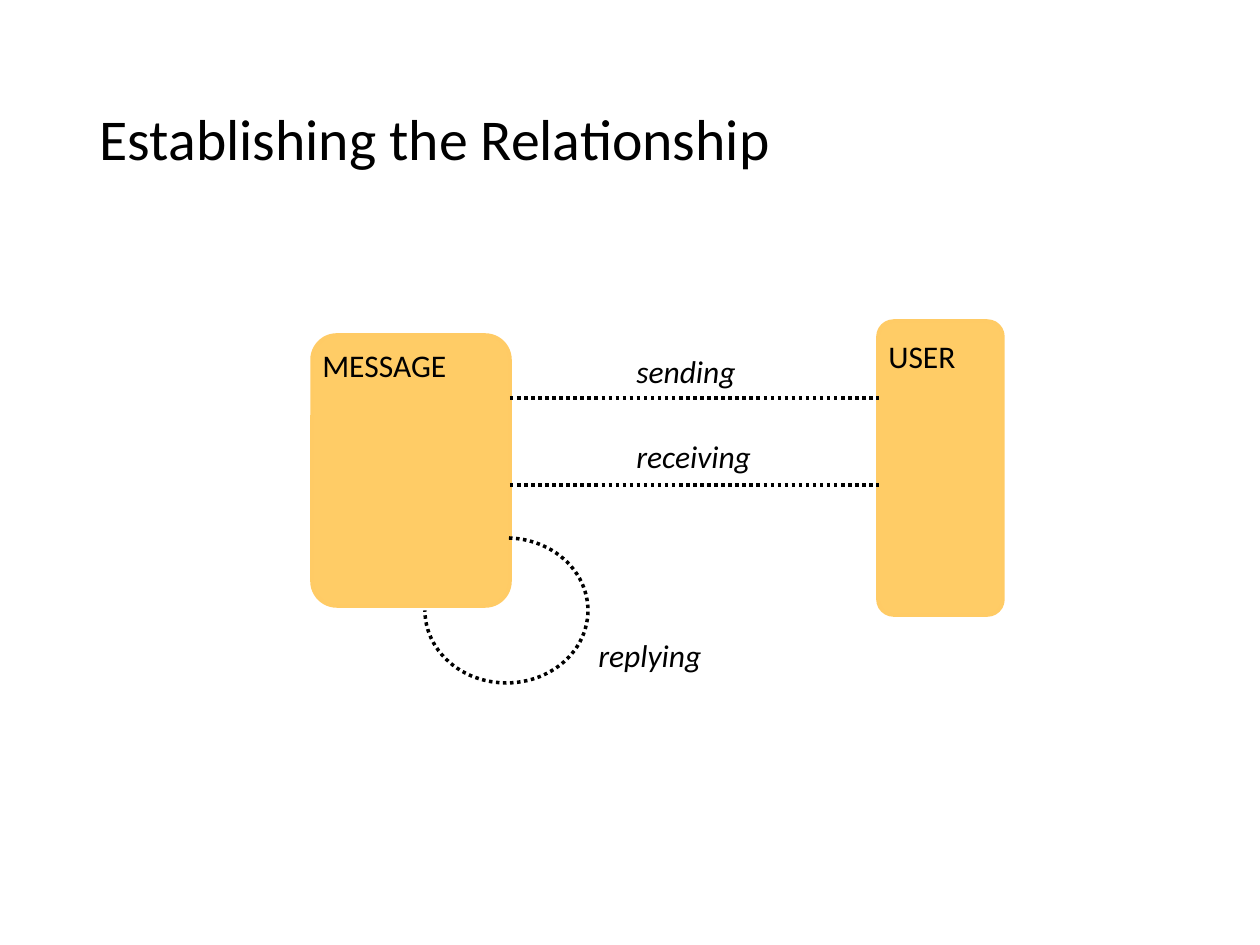
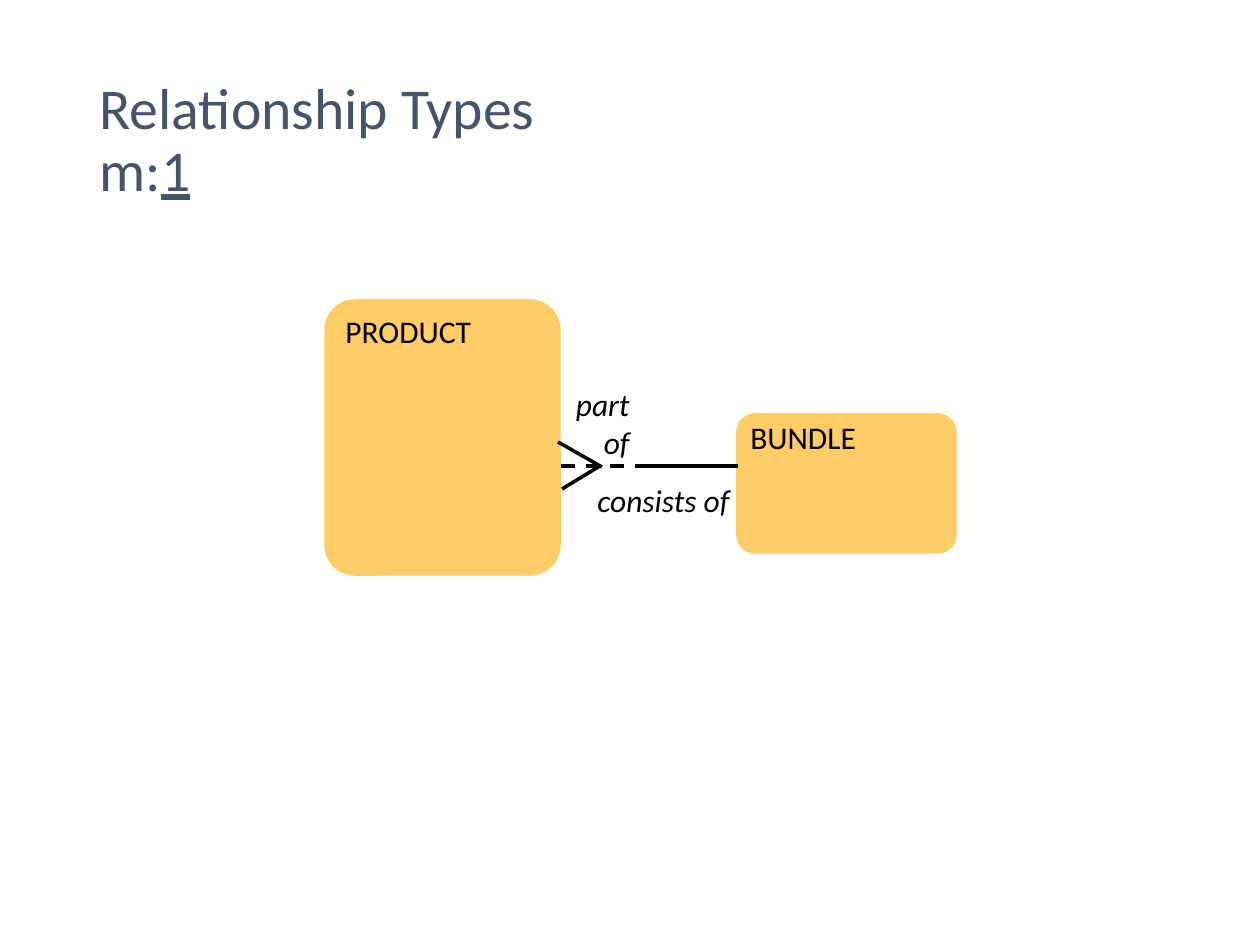
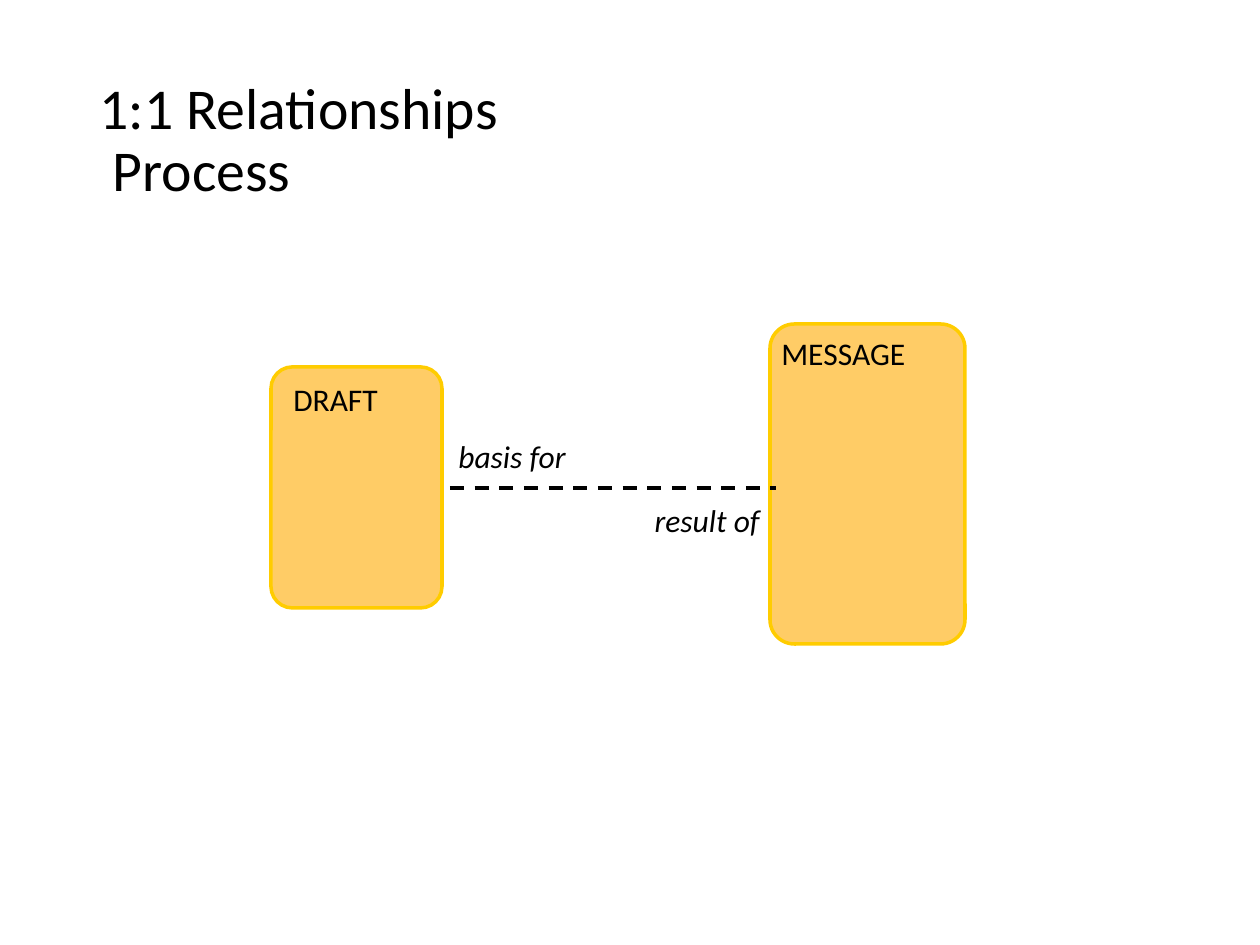
from dataclasses import dataclass

from lxml.etree import SubElement
from pptx import Presentation
from pptx.dml.color import RGBColor
from pptx.enum.dml import MSO_LINE
from pptx.enum.shapes import MSO_CONNECTOR, MSO_SHAPE
from pptx.enum.text import MSO_ANCHOR, MSO_AUTO_SIZE, PP_ALIGN
from pptx.oxml.ns import qn
from pptx.util import Emu, Inches, Pt

PIXELS_PER_INCH = 126
FONT = "Calibri"
BLACK = "000000"
SLATE = "44546A"
ENTITY_FILL = "FFCC66"
SOFT_EDGE = "FFCB65"
BRIGHT_EDGE = "FFCC00"
TITLE_SIZE = 33
LABEL_SIZE = 18
LINE_WIDTH = 2
LABEL_HEIGHT = 50
TITLE_AREA = (87, 50, 1086, 183)
DOTTED = MSO_LINE.ROUND_DOT
DASHED = MSO_LINE.DASH


@dataclass
class Label:
    """A piece of text in a box; relationship names are italic."""
    text: str
    left: int
    top: int
    width: int
    height: int = LABEL_HEIGHT
    italic: bool = True
    align: PP_ALIGN = PP_ALIGN.LEFT


@dataclass
class Entity:
    """A rounded box with its name placed on it."""
    area: tuple[int, int, int, int]
    name: Label
    edge: str = SOFT_EDGE


@dataclass
class Link:
    """A straight line between two points."""
    start: tuple[int, int]
    end: tuple[int, int]
    dash: MSO_LINE | None = None


@dataclass
class Loop:
    """An arc, clockwise between two angles in degrees."""
    area: tuple[int, int, int, int]
    start: int
    end: int


@dataclass
class Diagram:
    """Everything on one slide."""
    title: str
    entities: list[Entity]
    links: list[Link]
    labels: list[Label]
    loops: tuple[Loop, ...] = ()
    title_color: str = BLACK
    underlined: str = ""


def px(*lengths):
    """Turn pixels into EMU."""
    return [Emu(round(length * Inches(1) / PIXELS_PER_INCH)) for length in lengths]


def color(value):
    """Read a hex string as a colour."""
    return RGBColor.from_string(value)


def style_span(span, size, tint, italic=False):
    """Format one run."""
    span.font.name = FONT
    span.font.size = Pt(size)
    span.font.italic = italic
    span.font.color.rgb = color(tint)


def style_line(line, tint=BLACK, dash=None):
    """Format an outline or a connector line."""
    line.color.rgb = color(tint)
    line.width = Pt(LINE_WIDTH)
    if dash is not None:
        line.dash_style = dash


def set_title(page, diagram: Diagram):
    """Move, fill and format the title placeholder."""
    box = page.shapes.title
    box.left, box.top, box.width, box.height = px(*TITLE_AREA)
    frame = box.text_frame
    frame.auto_size = MSO_AUTO_SIZE.NONE
    frame.vertical_anchor = MSO_ANCHOR.MIDDLE
    para = frame.paragraphs[0]
    para.text = diagram.title
    para.alignment = PP_ALIGN.LEFT
    para.line_spacing = 0.9
    if diagram.underlined:
        span = para.add_run()
        span.text = diagram.underlined
        span.font.underline = True
    for span in para.runs:
        style_span(span, TITLE_SIZE, diagram.title_color)
    for line_break in para._p.findall(qn("a:br")):
        SubElement(line_break, qn("a:rPr")).set("sz", str(TITLE_SIZE * 100))


def add_label(page, label: Label):
    """Add a text box."""
    box = page.shapes.add_textbox(*px(label.left, label.top, label.width, label.height))
    frame = box.text_frame
    frame.word_wrap = True
    frame.auto_size = MSO_AUTO_SIZE.SHAPE_TO_FIT_TEXT
    para = frame.paragraphs[0]
    para.text = label.text
    para.alignment = label.align
    style_span(para.runs[0], LABEL_SIZE, BLACK, label.italic)


def add_entity(page, entity: Entity):
    """Add a rounded box and its name."""
    box = page.shapes.add_shape(MSO_SHAPE.ROUNDED_RECTANGLE, *px(*entity.area))
    box.adjustments[0] = 0.125
    box.shadow.inherit = False
    box.fill.solid()
    box.fill.fore_color.rgb = color(ENTITY_FILL)
    style_line(box.line, entity.edge)
    add_label(page, entity.name)


def add_link(page, link: Link):
    """Add a straight connector."""
    connector = page.shapes.add_connector(
        MSO_CONNECTOR.STRAIGHT, *px(*link.start, *link.end))
    style_line(connector.line, dash=link.dash)
    SubElement(connector._element.spPr, qn("a:effectLst"))


def add_loop(page, loop: Loop):
    """Add a dotted arc; an angle adjustment counts 0.6 per degree."""
    arc = page.shapes.add_shape(MSO_SHAPE.ARC, *px(*loop.area))
    arc.adjustments[0] = loop.start * 0.6
    arc.adjustments[1] = loop.end * 0.6
    arc.shadow.inherit = False
    arc.fill.background()
    style_line(arc.line, dash=DOTTED)


def add_diagram(deck, diagram: Diagram):
    """Add one slide with its diagram."""
    page = deck.slides.add_slide(deck.slide_layouts.get_by_name("Title Only"))
    set_title(page, diagram)
    for entity in diagram.entities:
        add_entity(page, entity)
    for link in diagram.links:
        add_link(page, link)
    for loop in diagram.loops:
        add_loop(page, loop)
    for label in diagram.labels:
        add_label(page, label)


DIAGRAMS = [
    Diagram(
        title="Establishing the Relationship",
        entities=[
            Entity((878, 321, 125, 294), Label("USER", 876, 331, 126, italic=False)),
            Entity((312, 335, 198, 271), Label("MESSAGE", 310, 340, 217, italic=False)),
        ],
        links=[Link((510, y), (879, y), DOTTED) for y in (398, 485)],
        loops=(Loop((425, 538, 163, 145), start=272, end=180),),
        labels=[
            Label("sending", 624, 346, 214),
            Label("receiving", 624, 431, 214),
            Label("replying", 586, 630, 155),
        ],
    ),
    Diagram(
        title="Relationship Types\vm:",
        underlined="1",
        title_color=SLATE,
        entities=[
            Entity((326, 301, 233, 273), Label("PRODUCT", 333, 306, 219, italic=False)),
            Entity((738, 415, 217, 137), Label("BUNDLE", 738, 412, 214, italic=False)),
        ],
        links=[
            Link((738, 466), (649, 466)),
            Link((561, 466), (650, 466), DASHED),
            Link((558, 442), (602, 467)),
            Link((562, 489), (600, 466)),
        ],
        labels=[
            Label("consists of", 578, 475, 164, 88, align=PP_ALIGN.RIGHT),
            Label("part of", 554, 379, 88, 88, align=PP_ALIGN.RIGHT),
        ],
    ),
    Diagram(
        title="1:1 Relationships\v Process",
        entities=[
            Entity((770, 324, 195, 320),
                   Label("MESSAGE", 769, 328, 203, italic=False), BRIGHT_EDGE),
            Entity((271, 367, 171, 241),
                   Label("DRAFT", 281, 374, 164, italic=False), BRIGHT_EDGE),
        ],
        links=[Link((450, 488), (776, 488), DASHED)],
        labels=[
            Label("basis for", 446, 431, 163),
            Label("result of", 523, 495, 249, align=PP_ALIGN.RIGHT),
        ],
    ),
]

deck = Presentation()
deck.slide_width, deck.slide_height = Inches(10), Inches(7.5)
for diagram in DIAGRAMS:
    add_diagram(deck, diagram)
deck.save("out.pptx")
